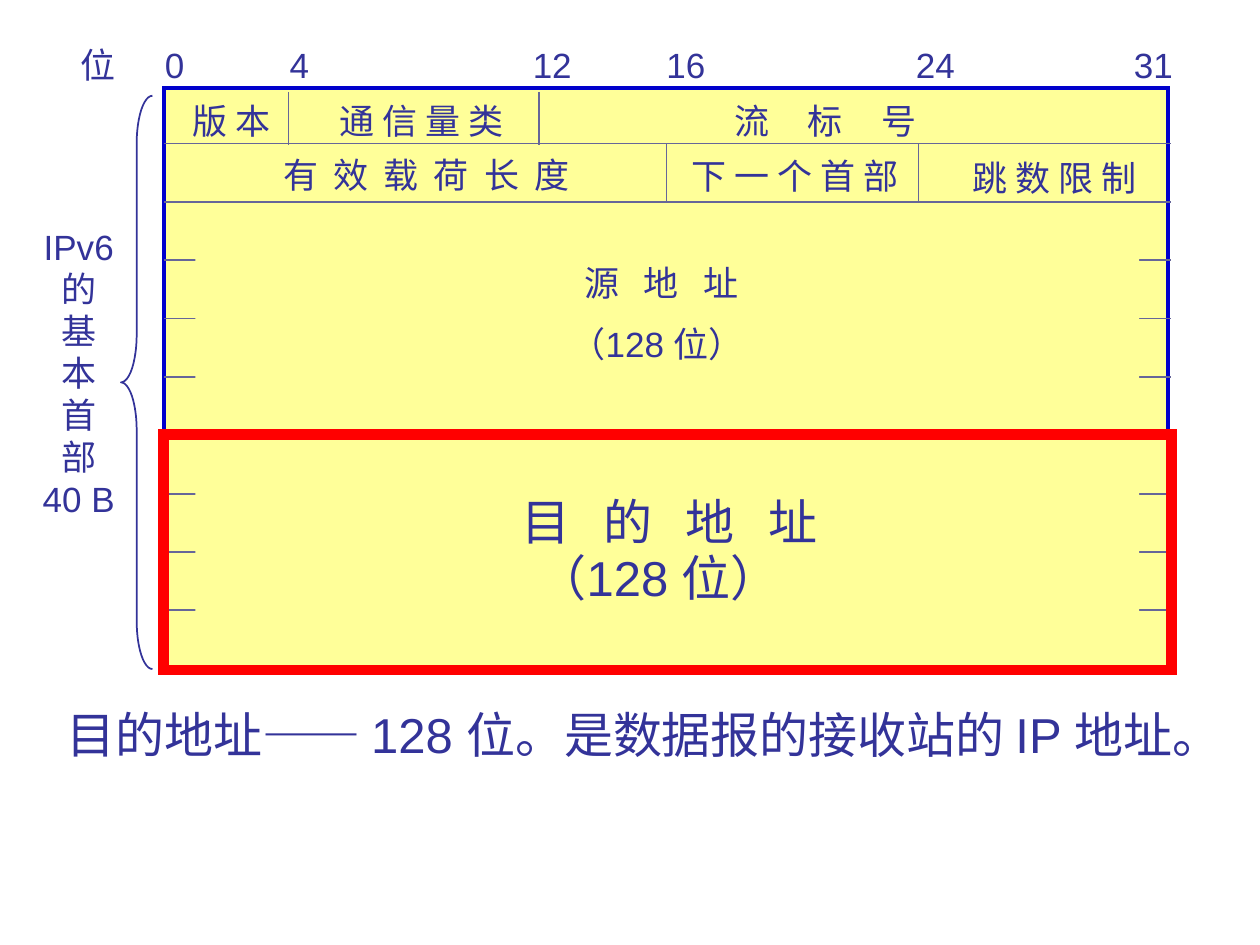
from lxml import etree
from pptx import Presentation
from pptx.dml.color import RGBColor
from pptx.enum import shapes, text
from pptx.oxml import ns
from pptx.util import Inches, Pt

INK, GRID, CREAM = "333399", "666699", "FFFF99"
prs = Presentation()
prs.slide_width, prs.slide_height = Inches(10), Inches(7.5)
slide = prs.slides.add_slide(prs.slide_layouts[6])
items = slide.shapes


def tint(fmt, color):
    if color is None:
        fmt.background()
    else:
        fmt.solid()
        fmt.fore_color.rgb = RGBColor.from_string(color)


def write(words, x, y, w, h=0.43, size=20, track=0, align="LEFT", wrap=False, lead=1):
    box = items.add_textbox(Inches(x), Inches(y), Inches(w), Inches(h))
    frame = box.text_frame
    frame.word_wrap = wrap
    frame.auto_size = text.MSO_AUTO_SIZE.SHAPE_TO_FIT_TEXT
    frame.text = words
    for para in frame.paragraphs:
        para.alignment = text.PP_ALIGN[align]
        para.line_spacing = lead
        for run in para.runs:
            run.font.size, run.font.name = Pt(size), "Arial"
            tint(run.font.fill, INK)
            if track:
                run.font._element.set("spc", str(track))


rects = [
    (1.3, 0.7, 7.97, 4.6, CREAM, "0000CC", 2.25),
    (1.55, 3.77, 7.49, 1.23, CREAM, None, 0),
    (1.55, 1.91, 7.49, 1.24, CREAM, None, 0),
    (1.3, 3.45, 8, 1.87, None, "FF0000", 6),
]
step = 0.463
rules = [(1.3, 1.14 + step * i, 9.29, 1.14 + step * i) for i in range(9)]
rules += [(x, 0.73, x, 1.15) for x in (2.29, 4.28)]
rules += [(x, 1.14, x, 1.61) for x in (5.29, 7.29)]

for i, (x, y, w, h, fill, edge, width) in enumerate(rects):
    rect = items.add_shape(
        shapes.MSO_SHAPE.RECTANGLE, Inches(x), Inches(y), Inches(w), Inches(h))
    rect.shadow.inherit = False
    tint(rect.fill, fill)
    tint(rect.line.fill, edge)
    if edge:
        rect.line.width = Pt(width)
        edging = rect._element.spPr.find(ns.qn("a:ln"))
        etree.SubElement(edging, ns.qn("a:miter")).set("lim", "800000")
    if i == 0:
        for ends in rules:
            rule = items.add_connector(
                shapes.MSO_CONNECTOR.STRAIGHT, *[Inches(v) for v in ends])
            tint(rule.line.fill, GRID)
            rule.line.width = Pt(1)
            etree.SubElement(rule._element.spPr, ns.qn("a:effectLst"))

brace = items.add_shape(
    shapes.MSO_SHAPE.LEFT_BRACE, Inches(0.96), Inches(0.76), Inches(0.25), Inches(4.55))
brace.shadow.inherit = False
brace.adjustments[0] = 1.52
tint(brace.fill, None)
tint(brace.line.fill, INK)
brace.line.width = Pt(1)

for mark, x, w in [
    ("位", 0.54, 0.48), ("0", 1.21, 0.35), ("4", 2.2, 0.35), ("12", 4.13, 0.51),
    ("16", 5.19, 0.51), ("24", 7.17, 0.51), ("31", 8.9, 0.51),
]:
    write(mark, x, 0.3, w)

for name, x, y, w, track in [
    ("版 本", 1.43, 0.74, 0.82, 0),
    ("通 信 量 类", 2.6, 0.74, 1.5, 0),
    ("流 标 号", 5.73, 0.74, 2.1, 880),
    ("有 效 载 荷 长 度", 2.15, 1.17, 2.9, 210),
    ("下 一 个 首 部", 5.39, 1.18, 1.84, 0),
    ("跳 数 限 制", 7.62, 1.19, 1.5, 0),
    ("源 地 址", 4.54, 2.03, 1.8, 470),
    ("（128 位）", 4.43, 2.51, 1.71, 0),
]:
    write(name, x, y, w, track=track, wrap=track > 0)

write("目 的 地 址", 4.04, 3.85, 3, 0.56, size=28, track=640, wrap=True)
write("（128 位）", 4.17, 4.3, 2.31, 0.56, size=28)
write("IPv6\n的\n基\n本\n首\n部\n40 B", 0.24, 1.74, 0.77, 2.76, align="CENTER")
write("目的地址—— 128 位。是数据报的接收站的 IP 地址。",
      0.43, 5.52, 9.2, 1.08, size=28, wrap=True, lead=1.05)

prs.save("out.pptx")
